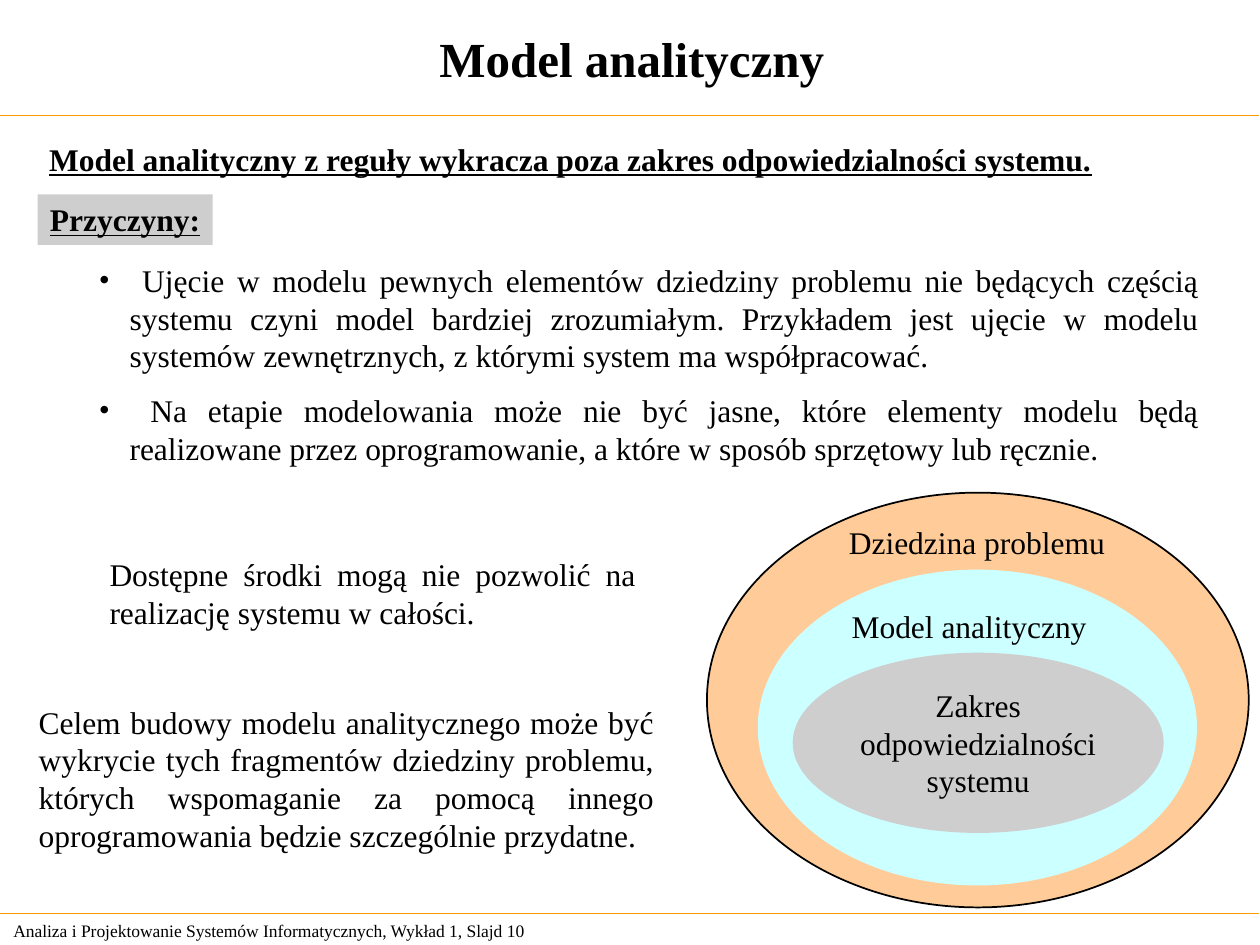
import pptx
import pptx.util
import pptx.dml.color
import pptx.enum.shapes
import pptx.enum.text
import pptx.oxml.ns
import lxml.etree

Pt = pptx.util.Pt
ALIGN = pptx.enum.text.PP_ALIGN
ANCHOR = pptx.enum.text.MSO_ANCHOR
SHAPE = pptx.enum.shapes.MSO_SHAPE
COLORS = {
    "text": "000000",
    "rule": "FF9900",
    "domain": "FFCC99",
    "model": "CCFFFF",
    "scope": "CECECE",
}
BODY = {"name": "Times New Roman", "size": Pt(18)}
HEADING = {**BODY, "bold": True, "underline": True}
TITLE = {**BODY, "size": Pt(28), "bold": True}
FOOTER = {**BODY, "size": Pt(10)}
PAGE_WIDTH, PAGE_HEIGHT = 720, 540
BULLET_INDENT = 17.5


def color(name):
    return pptx.dml.color.RGBColor.from_string(COLORS[name])


def place(item, left, top, width, height):
    item.left, item.top = Pt(left), Pt(top)
    item.width, item.height = Pt(width), Pt(height)


def make_bullet(para):
    properties = para._p.get_or_add_pPr()
    properties.set("marL", str(Pt(BULLET_INDENT)))
    properties.set("indent", str(-Pt(BULLET_INDENT)))
    font = lxml.etree.SubElement(properties, pptx.oxml.ns.qn("a:buFont"))
    font.set("typeface", BODY["name"])
    bullet = lxml.etree.SubElement(properties, pptx.oxml.ns.qn("a:buChar"))
    bullet.set("char", "•")


def write(item, paragraphs, style=BODY, align=ALIGN.LEFT, anchor=ANCHOR.TOP,
          wrap=True, bullets=False, gap=0):
    frame = item.text_frame
    frame.word_wrap = wrap
    frame.vertical_anchor = anchor
    for index, text in enumerate(paragraphs):
        para = frame.paragraphs[0] if index == 0 else frame.add_paragraph()
        para.alignment = align
        if index and gap:
            para.space_before = Pt(gap)
        if bullets:
            make_bullet(para)
        span = para.add_run()
        span.text = text
        for attribute, value in style.items():
            setattr(span.font, attribute, value)
        span.font.color.rgb = color("text")


def add_text(page, bounds, paragraphs, **options):
    box = page.shapes.add_textbox(*map(Pt, bounds))
    write(box, paragraphs, **options)


def add_figure(page, kind, bounds, fill, line=None):
    figure = page.shapes.add_shape(kind, *map(Pt, bounds))
    figure.shadow.inherit = False
    figure.fill.solid()
    figure.fill.fore_color.rgb = color(fill)
    if line:
        figure.line.color.rgb = color(line)
        figure.line.width = Pt(1)
    else:
        figure.line.fill.background()
    return figure


def add_rule(page, top):
    rule = page.shapes.add_connector(
        pptx.enum.shapes.MSO_CONNECTOR.STRAIGHT,
        Pt(-0.5), Pt(top), Pt(PAGE_WIDTH - 0.5), Pt(top))
    rule.line.width = Pt(0.75)
    rule.line.fill.solid()
    rule.line.fill.fore_color.rgb = color("rule")
    lxml.etree.SubElement(rule._element.spPr, pptx.oxml.ns.qn("a:effectLst"))


def add_title(page, text):
    title = page.shapes.title
    place(title, 0, 0, 722, 66)
    write(title, [text], style=TITLE, align=ALIGN.CENTER, anchor=ANCHOR.MIDDLE)


def add_nested_ellipses(page):
    add_figure(page, SHAPE.OVAL, (404, 281.5, 309.6, 237), "domain", "text")
    add_figure(page, SHAPE.OVAL, (433.5, 326, 250, 179.5), "model", "model")
    scope = add_figure(page, SHAPE.OVAL, (453.5, 373.5, 211, 102), "scope", "scope")
    write(scope, ["Zakres", "odpowiedzialności", "systemu"],
          align=ALIGN.CENTER, wrap=False)
    add_text(page, (478, 295.5, 175, 29), ["Dziedzina problemu"])
    add_text(page, (479.5, 343.5, 165, 29), ["Model analityczny"])


def add_reasons(page):
    add_text(page, (21, 76.5, 630, 29),
             ["Model analityczny z reguły wykracza poza zakres "
              "odpowiedzialności systemu."], style=HEADING)
    label = add_figure(page, SHAPE.RECTANGLE, (21.5, 111, 100, 29), "scope")
    write(label, ["Przyczyny:"], style=HEADING, wrap=False)
    add_text(page, (49.5, 145.5, 643, 125),
             [" Ujęcie w modelu pewnych elementów dziedziny problemu nie "
              "będących częścią systemu czyni model bardziej zrozumiałym. "
              "Przykładem jest ujęcie w modelu systemów zewnętrznych, "
              "z którymi system ma współpracować.",
              " Na etapie modelowania może nie być jasne, które elementy "
              "modelu będą realizowane przez oprogramowanie, a które "
              "w sposób sprzętowy lub ręcznie."],
             align=ALIGN.JUSTIFY, bullets=True, gap=9.5)
    add_text(page, (55.5, 313.5, 315, 50.5),
             ["Dostępne środki mogą nie pozwolić na realizację systemu "
              "w całości."], align=ALIGN.JUSTIFY)
    add_text(page, (15, 398, 366, 93.5),
             ["Celem budowy modelu analitycznego może być wykrycie tych "
              "fragmentów dziedziny problemu, których wspomaganie za pomocą "
              "innego oprogramowania będzie szczególnie przydatne."],
             align=ALIGN.JUSTIFY)


def main():
    deck = pptx.Presentation()
    deck.slide_width, deck.slide_height = Pt(PAGE_WIDTH), Pt(PAGE_HEIGHT)
    page = deck.slides.add_slide(deck.slide_layouts[5])
    for top in (66, 522):
        add_rule(page, top)
    add_title(page, "Model analityczny")
    add_nested_ellipses(page)
    add_reasons(page)
    add_text(page, (0.5, 522, 342, 19.5),
             ["Analiza i Projektowanie Systemów Informatycznych, "
              "Wykład 1, Slajd 10"], style=FOOTER, anchor=ANCHOR.MIDDLE)
    deck.save("out.pptx")


if __name__ == "__main__":
    main()
